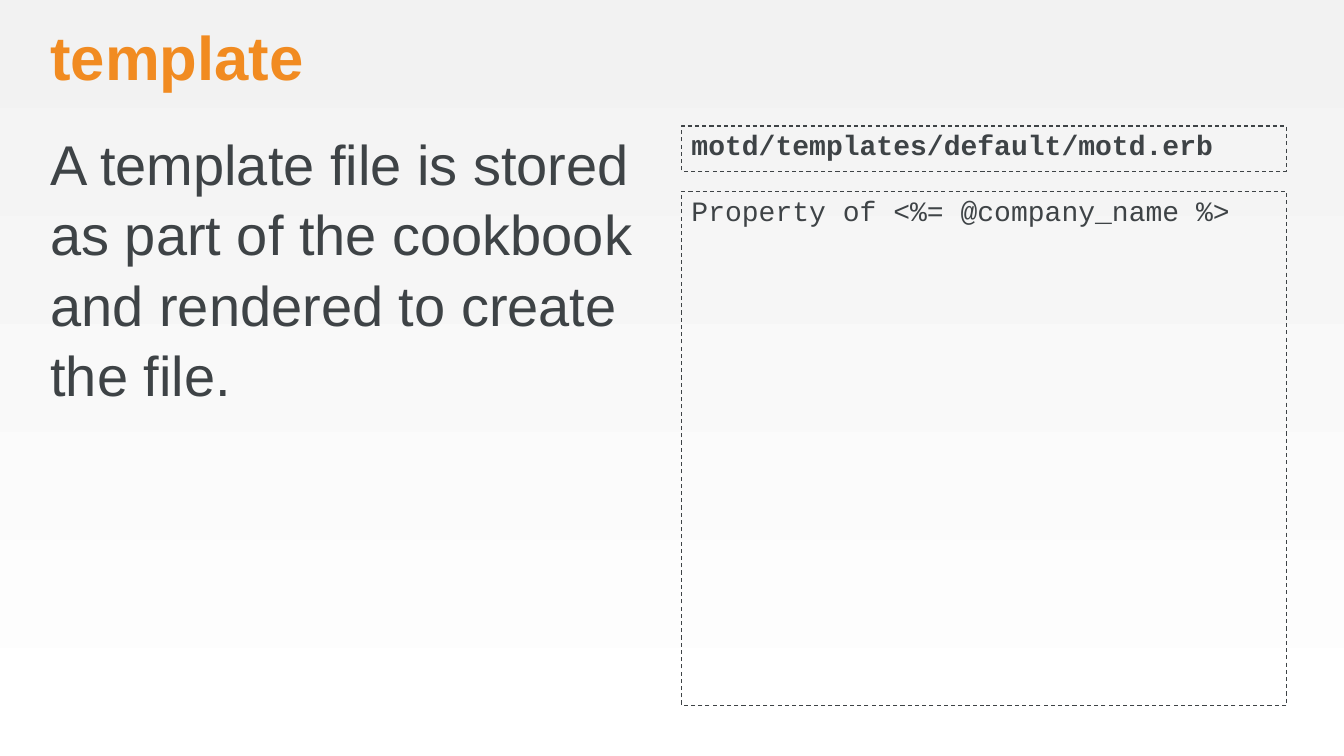
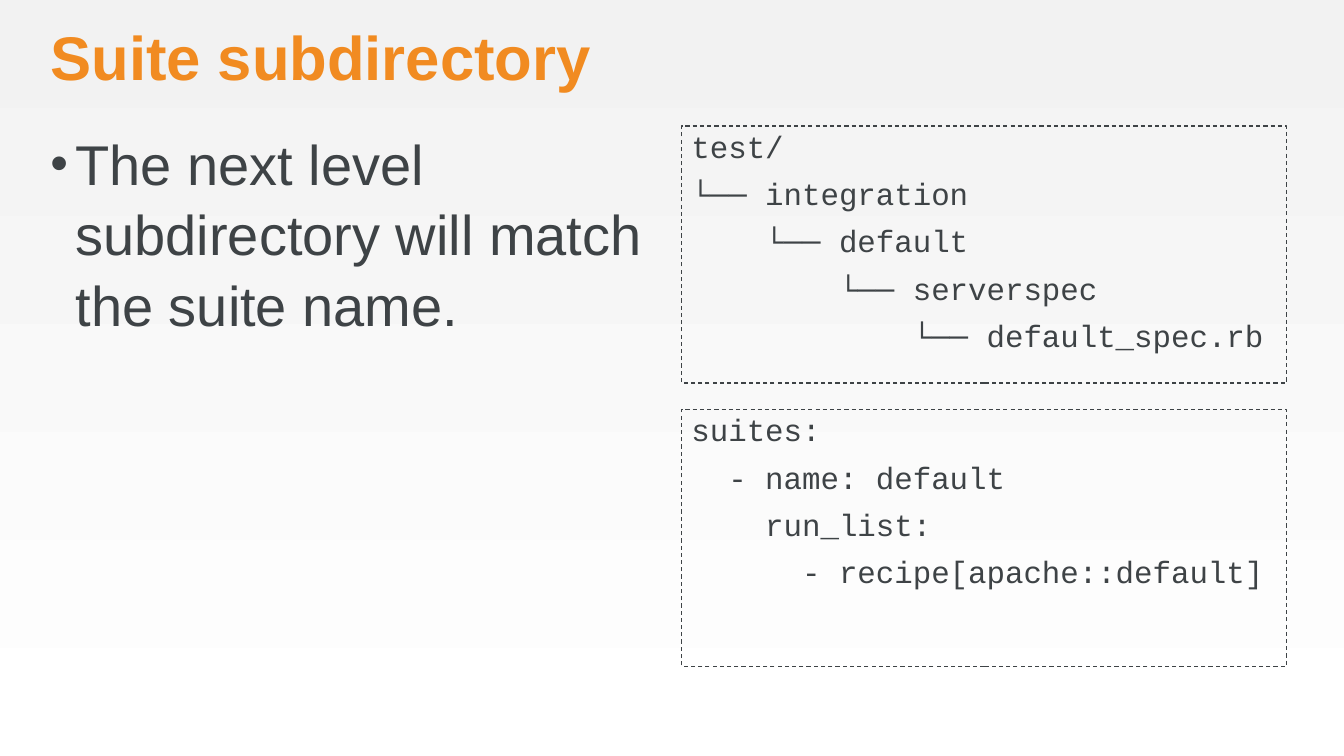
import pptx
import pptx.dml.color
import pptx.enum.dml
import pptx.enum.shapes
import pptx.enum.text
import pptx.oxml.ns
import pptx.util
from lxml import etree

Inches = pptx.util.Inches
Pt = pptx.util.Pt
RGBColor = pptx.dml.color.RGBColor
Anchor = pptx.enum.text.MSO_ANCHOR

ORANGE = RGBColor(0xF1, 0x8B, 0x21)
SLATE = RGBColor(0x3E, 0x43, 0x46)
PALE_GREY = RGBColor(0xF2, 0xF2, 0xF2)
WHITE = RGBColor(0xFF, 0xFF, 0xFF)

TITLE_FONT = {"name": "Arial", "size": Pt(44), "bold": True}
BODY_FONT = {"name": "Arial", "size": Pt(40), "bold": False}
CODE_FONT = {"name": "Courier New", "bold": False}

LEFT_COLUMN = 0.5
RIGHT_COLUMN = 6.76
COLUMN_WIDTH = 6
CONTENT_TOP = 1.25
CONTENT_HEIGHT = 5.75
BULLET_INDENT = Inches(0.25)


def apply(target, values):
    for key, value in values.items():
        setattr(target, key, value)


class Deck:
    def __init__(self):
        self.presentation = pptx.Presentation()
        apply(self.presentation, {"slide_width": Inches(13.33), "slide_height": Inches(7.5)})
        backdrop = self.presentation.slide_master.background.fill
        backdrop.gradient()
        backdrop.gradient_angle = 270
        for stop, color in zip(backdrop.gradient_stops, (PALE_GREY, WHITE)):
            stop.color.rgb = color
        self.slide = None

    def set_text(self, shape, lines, font, color, inset=0, anchor=Anchor.TOP,
                 line_spacing=1.05, bulleted=False):
        frame = shape.text_frame
        apply(frame, {
            "word_wrap": True,
            "auto_size": pptx.enum.text.MSO_AUTO_SIZE.NONE,
            "vertical_anchor": anchor,
            "margin_left": Inches(inset),
            "margin_right": Inches(inset),
            "margin_top": 0,
            "margin_bottom": 0,
        })
        for index, line in enumerate(lines):
            paragraph = frame.add_paragraph() if index else frame.paragraphs[0]
            apply(paragraph, {
                "text": line,
                "alignment": pptx.enum.text.PP_ALIGN.LEFT,
                "line_spacing": line_spacing,
                "space_before": Pt(6 if index else 0),
            })
            if bulleted:
                self.add_bullet(paragraph)
            apply(paragraph.font, font)
            paragraph.font.color.rgb = color

    def add_bullet(self, paragraph):
        properties = paragraph._p.get_or_add_pPr()
        properties.set("marL", str(BULLET_INDENT))
        properties.set("indent", str(-BULLET_INDENT))
        for tag, key, value in (("a:buSzPct", "val", "90000"),
                                ("a:buFont", "typeface", "Arial"),
                                ("a:buChar", "char", "•")):
            etree.SubElement(properties, pptx.oxml.ns.qn(tag)).set(key, value)

    def add_slide(self, title):
        self.slide = self.presentation.slides.add_slide(self.presentation.slide_layouts[5])
        heading = self.slide.shapes.title
        apply(heading, {
            "left": Inches(LEFT_COLUMN),
            "top": Inches(0.25),
            "width": Inches(12.25),
            "height": Inches(0.68),
        })
        self.set_text(heading, [title], TITLE_FONT, ORANGE, anchor=Anchor.BOTTOM, line_spacing=0.9)

    def add_body(self, statement, bulleted=False):
        body = self.slide.shapes.add_textbox(
            Inches(LEFT_COLUMN), Inches(CONTENT_TOP), Inches(COLUMN_WIDTH), Inches(CONTENT_HEIGHT))
        self.set_text(body, [statement], BODY_FONT, SLATE, bulleted=bulleted)

    def add_code(self, lines, top, height, size, bold=False):
        panel = self.slide.shapes.add_shape(
            pptx.enum.shapes.MSO_SHAPE.RECTANGLE,
            Inches(RIGHT_COLUMN), Inches(top), Inches(COLUMN_WIDTH), Inches(height))
        panel.shadow.inherit = False
        panel.fill.background()
        panel.line.color.rgb = SLATE
        apply(panel.line, {"width": Pt(0.75), "dash_style": pptx.enum.dml.MSO_LINE.DASH})
        self.set_text(panel, lines, {**CODE_FONT, "size": Pt(size), "bold": bold}, SLATE, inset=0.1)


def main():
    deck = Deck()

    deck.add_slide("template")
    deck.add_body("A template file is stored as part of the cookbook and rendered to create the file.")
    deck.add_code(["motd/templates/default/motd.erb"], CONTENT_TOP, 0.45, 20, bold=True)
    deck.add_code(["Property of <%= @company_name %>"], 1.9, 5.1, 20)

    deck.add_slide("Suite subdirectory")
    deck.add_body("The next level subdirectory will match the suite name.", bulleted=True)
    directory_tree = [
        "test/",
        "└── integration",
        "    └── default",
        "        └── serverspec",
        "            └── default_spec.rb",
    ]
    suite_settings = [
        "suites:",
        "  - name: default",
        "    run_list:",
        "      - recipe[apache::default]",
    ]
    deck.add_code(directory_tree, CONTENT_TOP, 2.55, 22)
    deck.add_code(suite_settings, 4.06, 2.55, 22)

    deck.presentation.save("out.pptx")


if __name__ == "__main__":
    main()
